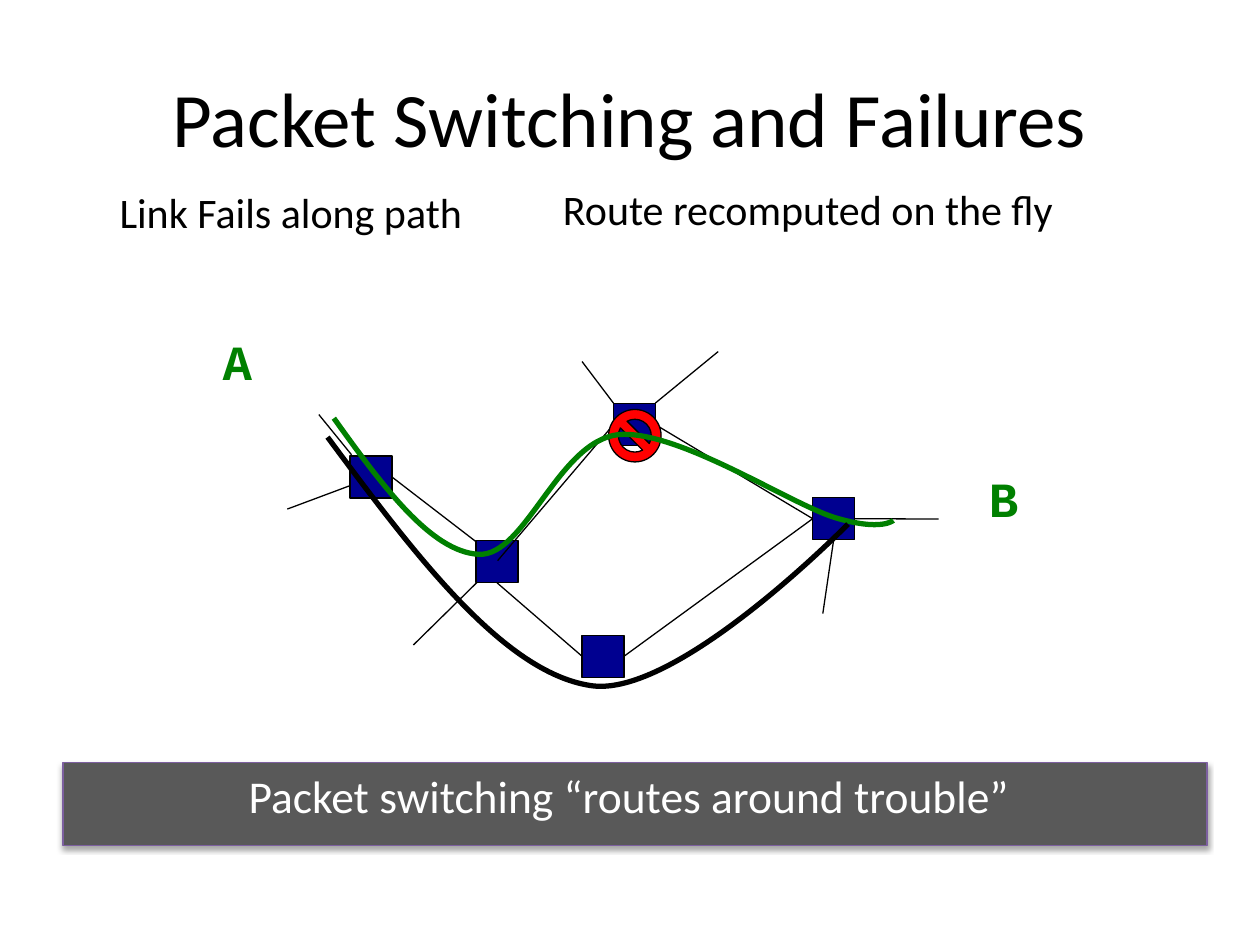
from lxml.etree import SubElement
from pptx import Presentation
from pptx.dml.color import RGBColor
from pptx.enum.shapes import MSO_CONNECTOR, MSO_SHAPE
from pptx.enum.text import MSO_ANCHOR, PP_ALIGN
from pptx.oxml.ns import qn
from pptx.util import Pt

BLACK, WHITE, GREEN, NAVY = "000000", "FFFFFF", "008000", "000090"
TOP, LEFT, BOTTOM, RIGHT = range(4)
NODE_SIZE = 24

BACK_NODES = {"detour": (168.6, 163), "failed": (186.6, 30.4), "egress": (300.4, 84.4)}
FRONT_NODES = {"ingress": (36, 60.6), "fork": (108, 109)}
BACK_LINKS = [
    (("egress", RIGHT), (372.4, 96.6)),
    (("egress", BOTTOM), (306.2, 150.6)),
    ((246.4, 0.9), (210.4, 30.4)),
    (("detour", RIGHT), ("egress", LEFT)),
    ((210.4, 42.6), ("egress", LEFT)),
    ((168.6, 6.6), (186.6, 30.4)),
    (("fork", BOTTOM), ("detour", LEFT)),
    ((72.2, 168.6), (114.6, 126.9)),
    (("ingress", RIGHT), (114.6, 114.6)),
    ((18.2, 36.9), (36.9, 59.9)),
    ((48.4, 72.9), (0.2, 90.9)),
]
FRONT_LINKS = [((120.4, 120.4), (186.6, 42.6))]
FAILED_ROUTE = [
    (26.8, 39), (54.2, 77.2), (82.2, 115.4), (109.6, 116.8),
    (136.2, 118.2), (155, 52), (189.5, 48.4), (223.4, 45.5), (287.4, 88),
    (313.4, 95.9), (340, 103.8), (346.5, 97.4), (346.5, 97.4),
]
NEW_ROUTE = [
    (23.2, 49.8), (72.9, 116.8), (123.3, 183.8), (173, 191.7),
    (221.9, 200.3), (320.6, 99.5), (320.6, 99.5),
]


def color(value):
    return RGBColor.from_string(value)


def set_line(line, value, width):
    line.color.rgb = color(value)
    line.width = Pt(width)


def write(frame, text, size, value=BLACK, font="Calibri", bold=False,
          align=PP_ALIGN.LEFT, anchor=MSO_ANCHOR.TOP):
    frame.word_wrap = True
    frame.vertical_anchor = anchor
    paragraph = frame.paragraphs[0]
    paragraph.text = text
    paragraph.alignment = align
    paragraph.font.size = Pt(size)
    paragraph.font.name = font
    paragraph.font.bold = bold
    paragraph.font.color.rgb = color(value)


def add_text(slide, box, text, size, **style):
    label = slide.shapes.add_textbox(*map(Pt, box))
    write(label.text_frame, text, size, **style)


def add_outlined(slide, kind, box, fill, outline=BLACK):
    shape = slide.shapes.add_shape(kind, *map(Pt, box))
    shape.shadow.inherit = False
    shape.fill.solid()
    shape.fill.fore_color.rgb = color(fill)
    set_line(shape.line, outline, 0.75)
    return shape


def add_nodes(slide, left, top, places):
    return {
        name: add_outlined(slide, MSO_SHAPE.RECTANGLE,
                           (left + x, top + y, NODE_SIZE, NODE_SIZE), NAVY)
        for name, (x, y) in places.items()
    }


def add_links(slide, left, top, links):
    drawn = []
    for ends in links:
        points = [(0, 0) if isinstance(end[0], str) else end for end in ends]
        coordinates = [Pt(v) for x, y in points for v in (left + x, top + y)]
        link = slide.shapes.add_connector(MSO_CONNECTOR.STRAIGHT, *coordinates)
        set_line(link.line, BLACK, 0.75)
        SubElement(link._element.spPr, qn("a:effectLst"))
        drawn.append((link, ends))
    return drawn


def join_links(drawn, nodes):
    for link, (start, end) in drawn:
        if start[0] in nodes:
            link.begin_connect(nodes[start[0]], start[1])
        if end[0] in nodes:
            link.end_connect(nodes[end[0]], end[1])


def add_route(slide, left, top, points, value):
    places = [(Pt(left + x), Pt(top + y)) for x, y in points]
    builder = slide.shapes.build_freeform(*places[0])
    builder.add_line_segments(places[1:], close=False)
    route = builder.convert_to_shape()
    route.shadow.inherit = False
    route.fill.background()
    set_line(route.line, value, 3)
    segments = list(route._element.iter(qn("a:lnTo")))
    for first in range(0, len(segments), 3):
        trio = segments[first:first + 3]
        curve = SubElement(trio[0].getparent(), qn("a:cubicBezTo"))
        for segment in trio:
            curve.append(segment[0])
            segment.getparent().remove(segment)


def add_network(slide, left, top):
    nodes = add_nodes(slide, left, top, BACK_NODES)
    links = add_links(slide, left, top, BACK_LINKS)
    nodes.update(add_nodes(slide, left, top, FRONT_NODES))
    add_links(slide, left, top, FRONT_LINKS)
    join_links(links, nodes)
    for host, x, y in (("A", -43.8, -14.2), ("B", 394, 64.2)):
        add_text(slide, (left + x, top + y, 40, 41), host, 28.1,
                 value=GREEN, font="Courier New", bold=True)
    add_outlined(slide, MSO_SHAPE.NO_SYMBOL, (left + 183.8, top + 34, 30, 30), "FF0000")
    add_route(slide, left, top, FAILED_ROUTE, GREEN)
    add_route(slide, left, top, NEW_ROUTE, BLACK)


def add_headings(slide, left, top, width):
    add_text(slide, (left, top, width, 90), "Packet Switching and Failures", 44,
             align=PP_ALIGN.CENTER, anchor=MSO_ANCHOR.MIDDLE)
    add_text(slide, (left + 25.2, top + 81.4, 300, 36), "Link Fails along path", 24)
    add_text(slide, (left + 278.6, top + 79.9, 322, 36), "Route recomputed on the fly", 24)


def add_banner(slide, box):
    banner = add_outlined(slide, MSO_SHAPE.RECTANGLE, box, "595959", "7D60A0")
    effects = banner._element.spPr.find(qn("a:effectLst"))
    shadow = SubElement(effects, qn("a:outerShdw"), blurRad=str(Pt(3.1)),
                        dist=str(Pt(1.8)), dir="5400000", rotWithShape="0")
    tint = SubElement(shadow, qn("a:srgbClr"), val=BLACK)
    SubElement(tint, qn("a:alpha"), val="35000")
    write(banner.text_frame, "Packet switching “routes around trouble”", 26,
          value=WHITE, align=PP_ALIGN.CENTER)
    banner.text_frame.margin_right = Pt(14)


def main():
    deck = Presentation()
    deck.slide_width, deck.slide_height = Pt(720), Pt(540)
    slide = deck.slides.add_slide(deck.slide_layouts[6])
    add_network(slide, 164, 200)
    add_headings(slide, 36, 21.6, 648)
    add_banner(slide, (36, 435.6, 653.8, 47.5))
    deck.save("out.pptx")


if __name__ == "__main__":
    main()
